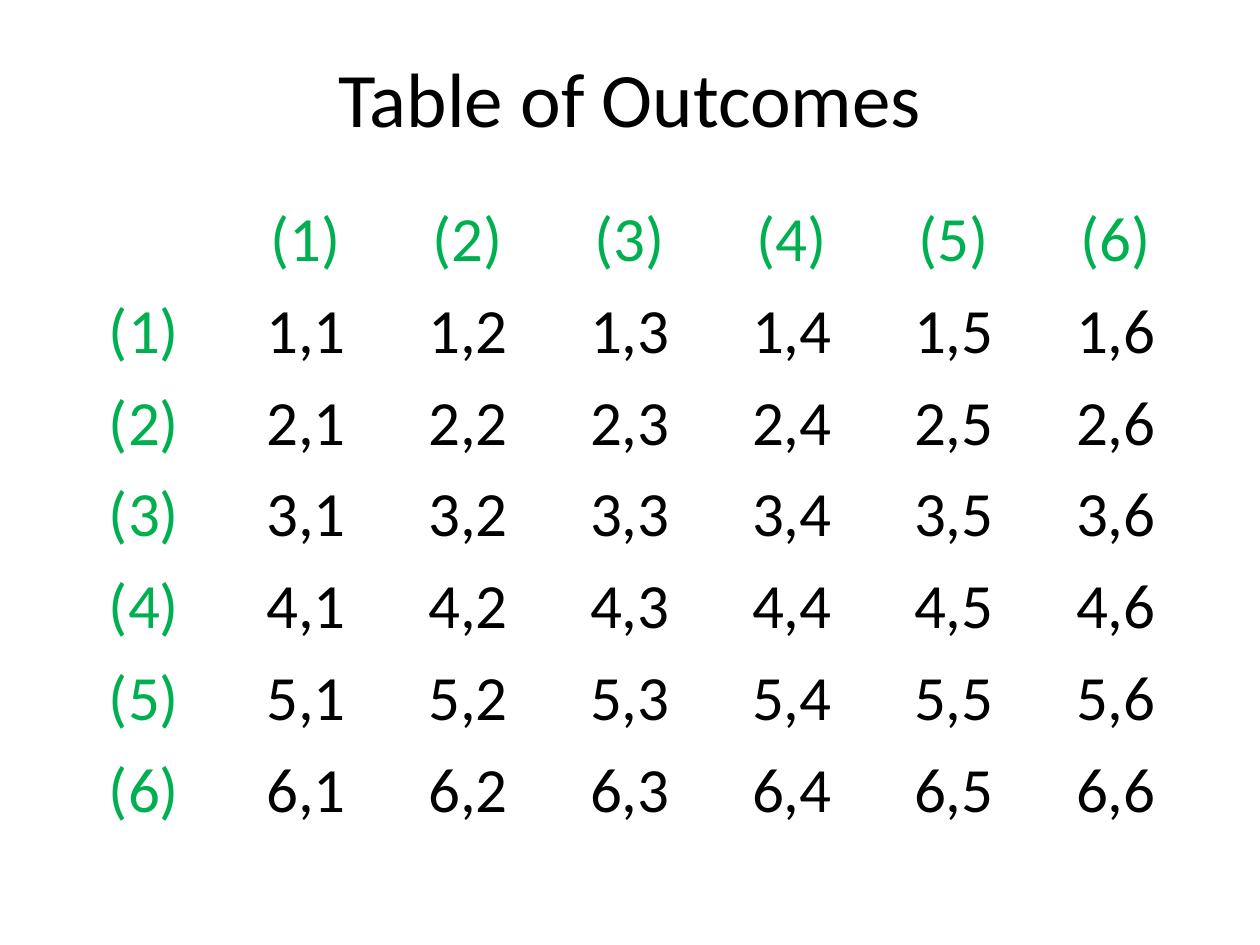
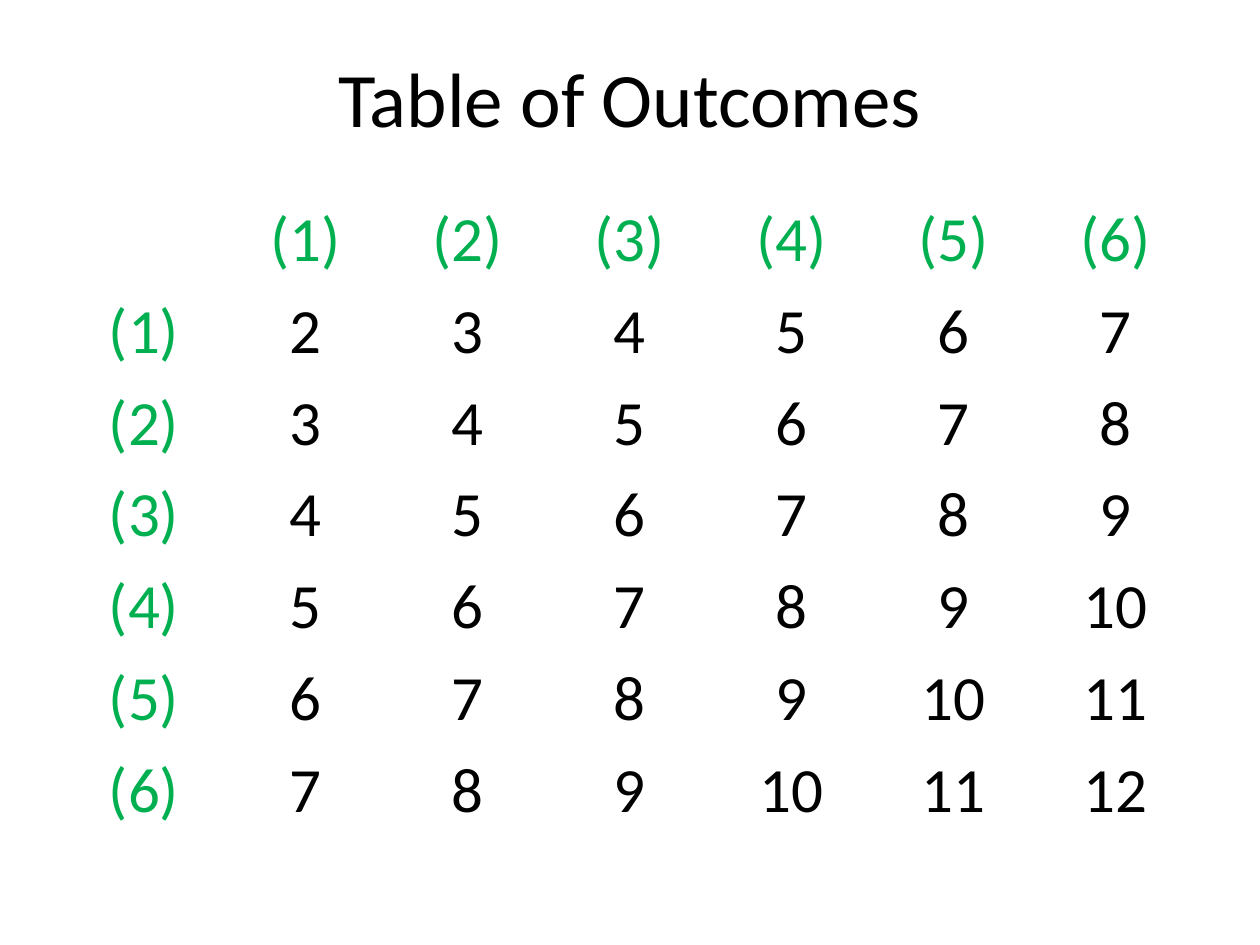
from pptx import Presentation
from pptx.dml.color import RGBColor
from pptx.enum.text import MSO_ANCHOR, PP_ALIGN
from pptx.util import Pt

# Shared style
FONT = "Calibri"
BLACK = RGBColor(0x00, 0x00, 0x00)
GREEN = RGBColor(0x00, 0xB0, 0x50)
WHITE = RGBColor(0xFF, 0xFF, 0xFF)

# Shared layout, in points
LEFT, WIDTH = 36, 648
TITLE_TOP, TITLE_HEIGHT = 21.6, 67
TABLE_TOP, TABLE_HEIGHT = 111.6, 367.2
FACES = range(1, 7)


def write(tf, text, size=36, color=BLACK, align=PP_ALIGN.CENTER):
    p = tf.paragraphs[0]
    p.alignment = align
    r = p.add_run()
    r.text = text
    r.font.name = FONT
    r.font.size = Pt(size)
    r.font.color.rgb = color


def add_title(s, text):
    sp = s.shapes.add_textbox(Pt(LEFT), Pt(TITLE_TOP), Pt(WIDTH), Pt(TITLE_HEIGHT))
    tf = sp.text_frame
    tf.word_wrap = True
    tf.vertical_anchor = MSO_ANCHOR.MIDDLE
    write(tf, text, size=44)


def add_outcome_table(s, outcome):
    """Cross two dice; outcome gives the text for a pair of faces."""
    labels = [f"({face})" for face in FACES]
    rows = [[""] + labels]
    for first in FACES:
        rows.append([labels[first - 1]] + [outcome(first, second) for second in FACES])

    n = len(rows)
    table = s.shapes.add_table(n, n, Pt(LEFT), Pt(TABLE_TOP),
                               Pt(WIDTH), Pt(TABLE_HEIGHT)).table
    table.first_row = table.horz_banding = False

    for i, row in enumerate(rows):
        for j, text in enumerate(row):
            cell = table.cell(i, j)
            cell.fill.background()
            if text:
                is_label = i == 0 or j == 0
                write(cell.text_frame, text, color=GREEN if is_label else BLACK)


def add_slide(prs, outcome):
    s = prs.slides.add_slide(prs.slide_layouts[6])
    s.background.fill.solid()
    s.background.fill.fore_color.rgb = WHITE
    add_title(s, "Table of Outcomes")
    add_outcome_table(s, outcome)


def main():
    prs = Presentation()
    prs.slide_width, prs.slide_height = Pt(720), Pt(540)

    # Slide 1: pairs of faces
    add_slide(prs, lambda first, second: f"{first},{second}")
    # Slide 2: sums of faces
    add_slide(prs, lambda first, second: str(first + second))

    prs.save("out.pptx")


main()
